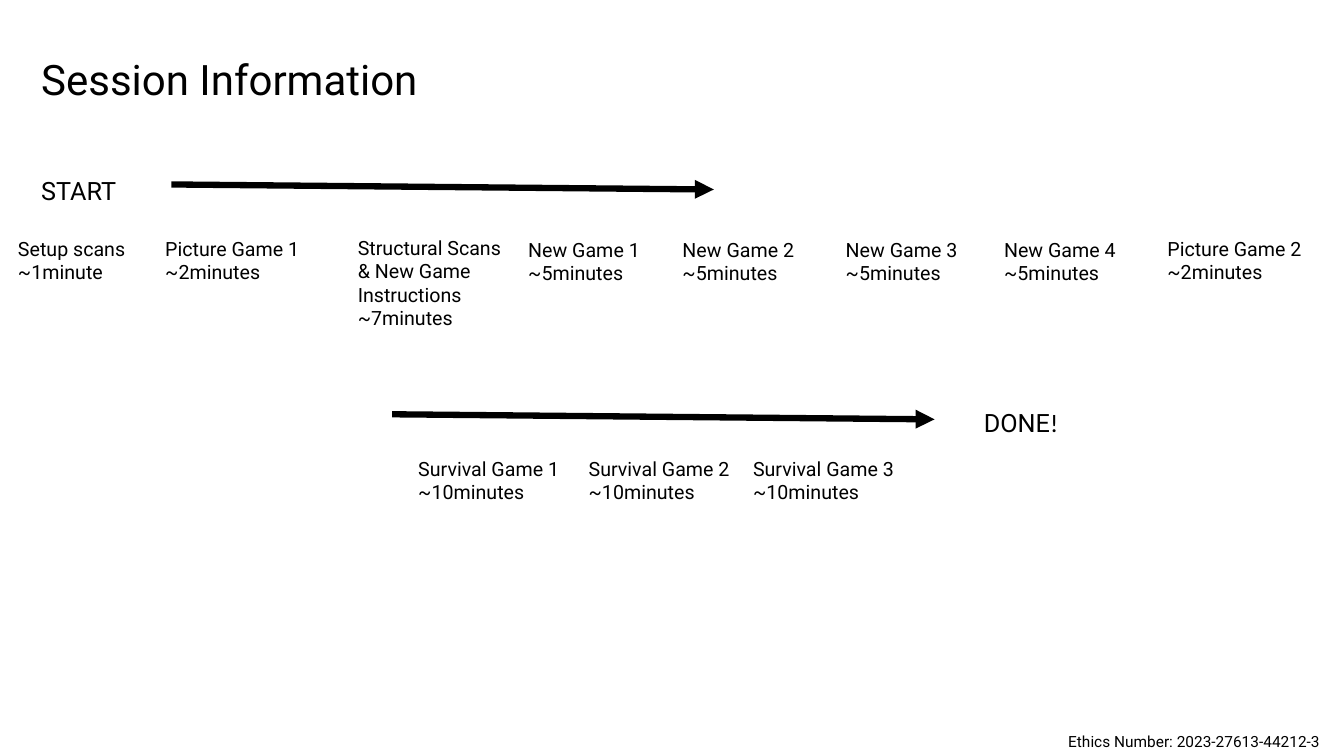
"""Build the Session Information slide: a two-row timeline of scan sessions."""
from lxml import etree
from pptx import Presentation
from pptx import util as u
from pptx.dml.color import RGBColor
from pptx.enum import shapes, text
from pptx.oxml.ns import qn

COLORS = {"ink": "000000", "paper": "FFFFFF"}
INK = RGBColor.from_string(COLORS["ink"])

prs = Presentation()
prs.slide_width, prs.slide_height = u.Inches(13.33), u.Inches(7.5)
COL, ROW = prs.slide_width / 100, prs.slide_height / 100
s = prs.slides.add_slide(prs.slide_layouts[6])
s.background.fill.solid()
s.background.fill.fore_color.rgb = RGBColor.from_string(COLORS["paper"])


def grid(x, y):
    return int(x * COL), int(y * ROW)


def add_text(x, y, w, h, lines, size, wrap=True, align=text.PP_ALIGN.LEFT):
    tf = s.shapes.add_textbox(*grid(x, y), *grid(w, h)).text_frame
    frame = {"word_wrap": wrap, "auto_size": text.MSO_AUTO_SIZE.SHAPE_TO_FIT_TEXT}
    for key, value in frame.items():
        setattr(tf, key, value)
    for i, line in enumerate(lines):
        p = tf.add_paragraph() if i else tf.paragraphs[0]
        p.alignment = align
        r = p.add_run()
        r.text = line
        for key, value in {"name": "Roboto", "size": u.Pt(size)}.items():
            setattr(r.font, key, value)
        r.font.color.rgb = INK
    return tf


add_text(2.33, 6.4, 59.26, 8.13, ["Session Information"], 30)
add_text(75.99, 96.13, 25.73, 3.87, ["Ethics Number: 2023-27613-44212-3"], 11,
         align=text.PP_ALIGN.CENTER)

STEP = 12.68
steps = [
    (0.6, 30.67, STEP, 7.6, ["Setup scans ~1minute"]),
    (25.88, 30.53, STEP, 17.07,
     ["Structural Scans", "& New Game Instructions", "~7minutes"]),
    (11.55, 30.67, 13.95, 7.6, ["Picture Game 1", "~2minutes"]),
    (86.12, 30.67, 14.93, 7.6, ["Picture Game 2", "~2minutes"]),
]
for n, x in enumerate([38.56, 50.04, 62.19, 73.97], 1):
    steps.append((x, 30.8, STEP, 7.6, [f"New Game {n}", "~5minutes"]))
for n, x in enumerate([30.38, 43.06, 55.29], 1):
    steps.append((x, 59.73, STEP, 10.8, [f"Survival Game {n}", "~10minutes"]))
for x, y, w, h, lines in steps:
    add_text(x, y, w, h, lines, 14)

add_text(2.33, 22.53, 7.95, 5.33, ["START"], 18, wrap=False)
done = add_text(72.47, 53.2, 8.33, 5.33, ["DONE"], 18, wrap=False)
r = done.paragraphs[0].add_run()
r.text = "!"
for key, value in {"name": "Calibri", "size": u.Pt(18)}.items():
    setattr(r.font, key, value)
r.font.color.rgb = INK

for x, y in [(12.75, 24.4), (29.18, 54.8)]:
    arrow = s.shapes.add_connector(shapes.MSO_CONNECTOR.STRAIGHT,
                                   *grid(x, y), *grid(x + 40.36, y + 0.67))
    arrow.line.width = u.Pt(4.5)
    arrow.line.color.rgb = INK
    etree.SubElement(arrow.line._get_or_add_ln(), qn("a:tailEnd"), type="triangle")
    etree.SubElement(arrow._element.spPr, qn("a:effectLst"))

prs.save("out.pptx")
